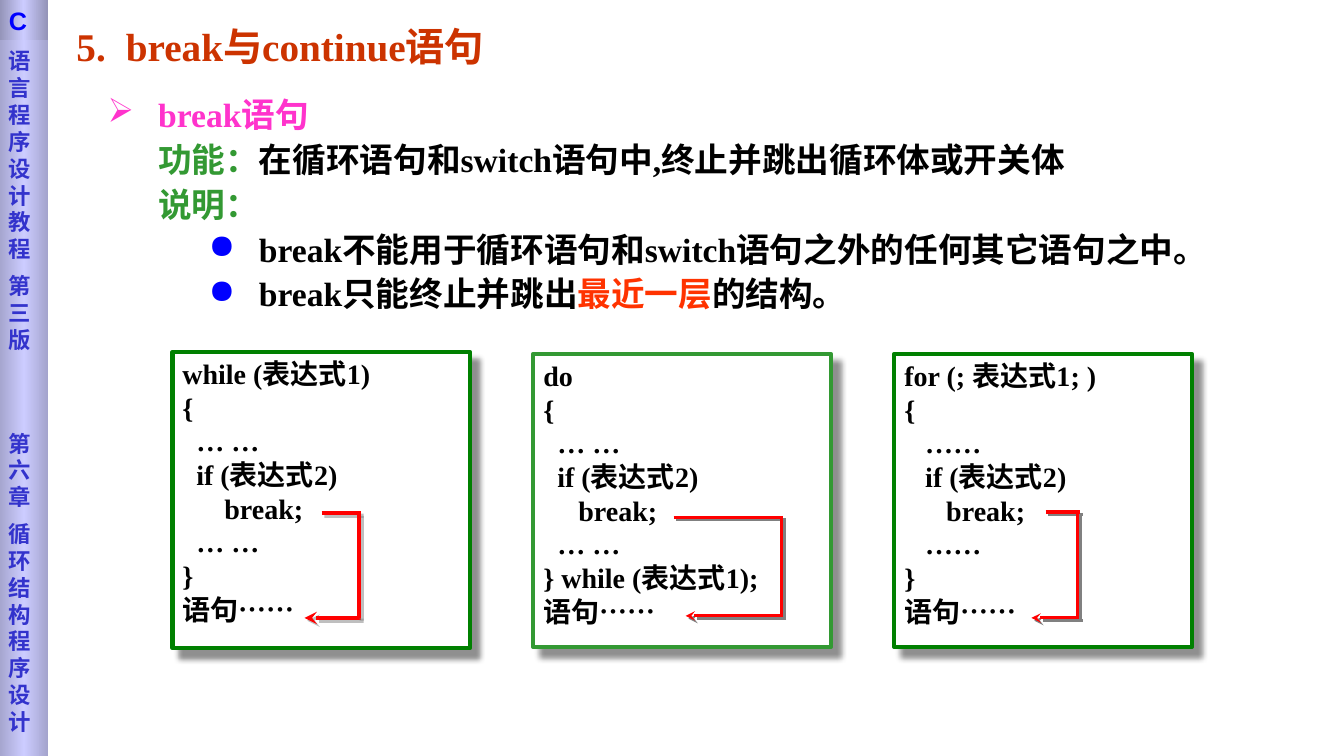
from copy import deepcopy

from lxml import etree
from pptx import Presentation
from pptx.dml.color import RGBColor
from pptx.enum.shapes import MSO_CONNECTOR, MSO_SHAPE
from pptx.enum.text import MSO_ANCHOR, PP_ALIGN
from pptx.oxml.ns import qn
from pptx.util import Inches, Pt

BLACK = RGBColor(0x00, 0x00, 0x00)
WHITE = RGBColor(0xFF, 0xFF, 0xFF)
BRICK = RGBColor(0xCC, 0x33, 0x00)
PINK = RGBColor(0xFF, 0x33, 0xCC)
LEAF = RGBColor(0x33, 0x99, 0x33)
GREEN = RGBColor(0x00, 0x80, 0x00)
ORANGE = RGBColor(0xFF, 0x33, 0x00)
RED = RGBColor(0xFF, 0x00, 0x00)
BLUE = RGBColor(0x00, 0x00, 0xFF)
INDIGO = RGBColor(0x33, 0x33, 0xCC)
GRAY = RGBColor(0x80, 0x80, 0x80)
LAVENDER = RGBColor(0xCC, 0xCC, 0xFF)
BAR_EDGE = RGBColor(0xA4, 0xA4, 0xCD)
CAP_EDGE = RGBColor(0x92, 0x92, 0xB6)
SERIF = "Times New Roman"

POINTS = [
    (0.5, -0.5, "➢", PINK, [("break语句", PINK)]),
    (1.57, -1.07, None, None,
     [("功能：", LEAF), ("在循环语句和switch语句中,终止并跳出循环体或开关体", BLACK)]),
    (1, -0.5, None, None, [("说明：", LEAF)]),
    (1.5, -0.5, "●", BLUE,
     [("break不能用于循环语句和switch语句之外的任何其它语句之中。", BLACK)]),
    (1.5, -0.5, "●", BLUE,
     [("break只能终止并跳出", BLACK), ("最近一层", ORANGE), ("的结构。", BLACK)]),
]

WHILE_CODE = """while (表达式1)
{
  … …
  if (表达式2)
      break;
  … …
}
语句……"""
DO_CODE = """do
{
  … …
  if (表达式2)
     break;
  … …
} while (表达式1);
语句……"""
FOR_CODE = """for (; 表达式1; )
{
   ……
   if (表达式2)
      break;
   ……
}
语句……"""

LOOPS = [
    (WHILE_CODE, 3.49, 2.94, GREEN, (1.48, 1.85, 1.31, 1.6, 2.64), 3, 50),
    (DO_CODE, 3.51, 2.91, LEAF, (1.39, 2.46, 1.51, 1.62, 2.6), 2.25, 100),
    (FOR_CODE, 3.51, 2.91, GREEN, (1.5, 1.82, 1.36, 1.57, 2.62), 2.25, 100),
]

CHAPTERS = [("语言程序设计教程", 0), ("第三版", 7), ("第六章", 55), ("循环结构程序设计", 7)]


def style(font, size, color, name=SERIF):
    font.size, font.bold, font.name = Pt(size), True, name
    font.color.rgb = color


def add_shadow(shape, color, alpha, blur, distance):
    properties = shape._element.spPr
    for effects in properties.findall(qn("a:effectLst")):
        properties.remove(effects)
    effects = etree.SubElement(properties, qn("a:effectLst"))
    outer = etree.SubElement(effects, qn("a:outerShdw"), blurRad=str(Pt(blur)),
                             dist=str(Pt(distance)), dir="2700000", algn="tl", rotWithShape="0")
    tint = etree.SubElement(outer, qn("a:srgbClr"), val=str(color))
    etree.SubElement(tint, qn("a:alpha"), val=str(alpha * 1000))


def add_bullet(paragraph, mark, color):
    properties = paragraph._p.get_or_add_pPr()
    if mark is None:
        etree.SubElement(properties, qn("a:buNone"))
        return
    tint = etree.SubElement(properties, qn("a:buClr"))
    etree.SubElement(tint, qn("a:srgbClr"), val=str(color))
    etree.SubElement(properties, qn("a:buChar"), char=mark)


def add_title(slide, left, top, width, height):
    frame = slide.shapes.add_textbox(*map(Inches, (left, top, width, height))).text_frame
    frame.word_wrap = True
    frame.vertical_anchor = MSO_ANCHOR.MIDDLE
    heading = frame.paragraphs[0]
    heading.text = "5.\tbreak与continue语句"
    tabs = etree.SubElement(heading._p.get_or_add_pPr(), qn("a:tabLst"))
    etree.SubElement(tabs, qn("a:tab"), pos=str(Inches(0.49)), algn="l")
    style(heading.runs[0].font, 28, BRICK)


def add_points(slide, left, top, width, height):
    frame = slide.shapes.add_textbox(*map(Inches, (left, top, width, height))).text_frame
    frame.word_wrap = True
    for index, (margin, indent, mark, mark_color, parts) in enumerate(POINTS):
        point = frame.add_paragraph() if index else frame.paragraphs[0]
        properties = point._p.get_or_add_pPr()
        properties.set("marL", str(Inches(margin)))
        properties.set("indent", str(Inches(indent)))
        add_bullet(point, mark, mark_color)
        point.line_spacing = Pt(32)
        for words, color in parts:
            run = point.add_run()
            run.text = words
            style(run.font, 24, color)


def add_jump(slide, left, top, route, weight, alpha):
    start, corner, tip, upper, lower = route
    segments = [
        (start, upper, corner + 0.02, upper, False),
        (corner + 0.02, lower, tip, lower, True),
        (corner, upper, corner, lower, False),
    ]
    for x1, y1, x2, y2, pointed in segments:
        segment = slide.shapes.add_connector(
            MSO_CONNECTOR.STRAIGHT, Inches(left + x1), Inches(top + y1),
            Inches(left + x2), Inches(top + y2))
        segment.line.color.rgb = RED
        segment.line.width = Pt(weight)
        if pointed:
            etree.SubElement(segment.line._get_or_add_ln(), qn("a:tailEnd"), type="stealth")
        add_shadow(segment, GRAY, alpha, 0, 2.8)


def add_loop(slide, left, top, width, height, code, border, route, weight, alpha):
    panel = slide.shapes.add_shape(MSO_SHAPE.RECTANGLE, *map(Inches, (left, top, width, height)))
    panel.fill.solid()
    panel.fill.fore_color.rgb = WHITE
    panel.line.color.rgb = border
    panel.line.width = Pt(3)
    add_shadow(panel, BLACK, 43, 4, 8.4)
    frame = panel.text_frame
    frame.vertical_anchor = MSO_ANCHOR.TOP
    frame.text = code
    for statement in frame.paragraphs:
        statement.alignment = PP_ALIGN.JUSTIFY
        style(statement.runs[0].font, 20, BLACK)
    add_jump(slide, left, top, route, weight, alpha)


def add_band(slide, left, top, width, height, edge):
    band = slide.shapes.add_shape(MSO_SHAPE.RECTANGLE, *map(Inches, (left, top, width, height)))
    band.shadow.inherit = False
    band.line.fill.background()
    band.fill.gradient()
    band.fill.gradient_angle = 0
    stops = band._element.spPr.find(".//" + qn("a:gsLst"))
    stops.append(deepcopy(stops[-1]))
    for stop, position, color in zip(band.fill.gradient_stops, (0, 0.5, 1), (edge, LAVENDER, edge)):
        stop.position = position
        stop.color.rgb = color
    band.text_frame.vertical_anchor = MSO_ANCHOR.TOP
    return band.text_frame


def add_sidebar(slide, left, top, width, height):
    spine = add_band(slide, left, top, width, height, BAR_EDGE)
    spine.margin_top = Inches(0.47)
    spine.text = "\n".join(words for words, gap in CHAPTERS)
    for label, (words, gap) in zip(spine.paragraphs, CHAPTERS):
        label.alignment = PP_ALIGN.LEFT
        if gap:
            label.space_before = Pt(gap)
        style(label.runs[0].font, 16, INDIGO, "DejaVu Sans")
    cap = add_band(slide, left, top, width, 0.4, CAP_EDGE)
    cap.text = "C"
    cap.paragraphs[0].alignment = PP_ALIGN.LEFT
    style(cap.paragraphs[0].runs[0].font, 18, BLUE, "Arial")


def main():
    deck = Presentation()
    deck.slide_width, deck.slide_height = Inches(13.33), Inches(7.5)
    slide = deck.slides.add_slide(deck.slide_layouts[6])
    add_title(slide, 0.66, 0.17, 4.88, 0.57)
    add_points(slide, 0.97, 0.84, 11.52, 2.31)
    for column, (code, top, height, border, route, weight, alpha) in enumerate(LOOPS):
        add_loop(slide, 1.71 + 3.58 * column, top, 2.95, height, code, border, route, weight, alpha)
    add_sidebar(slide, -0.01, 0, 0.49, 7.5)
    deck.save("out.pptx")


if __name__ == "__main__":
    main()
